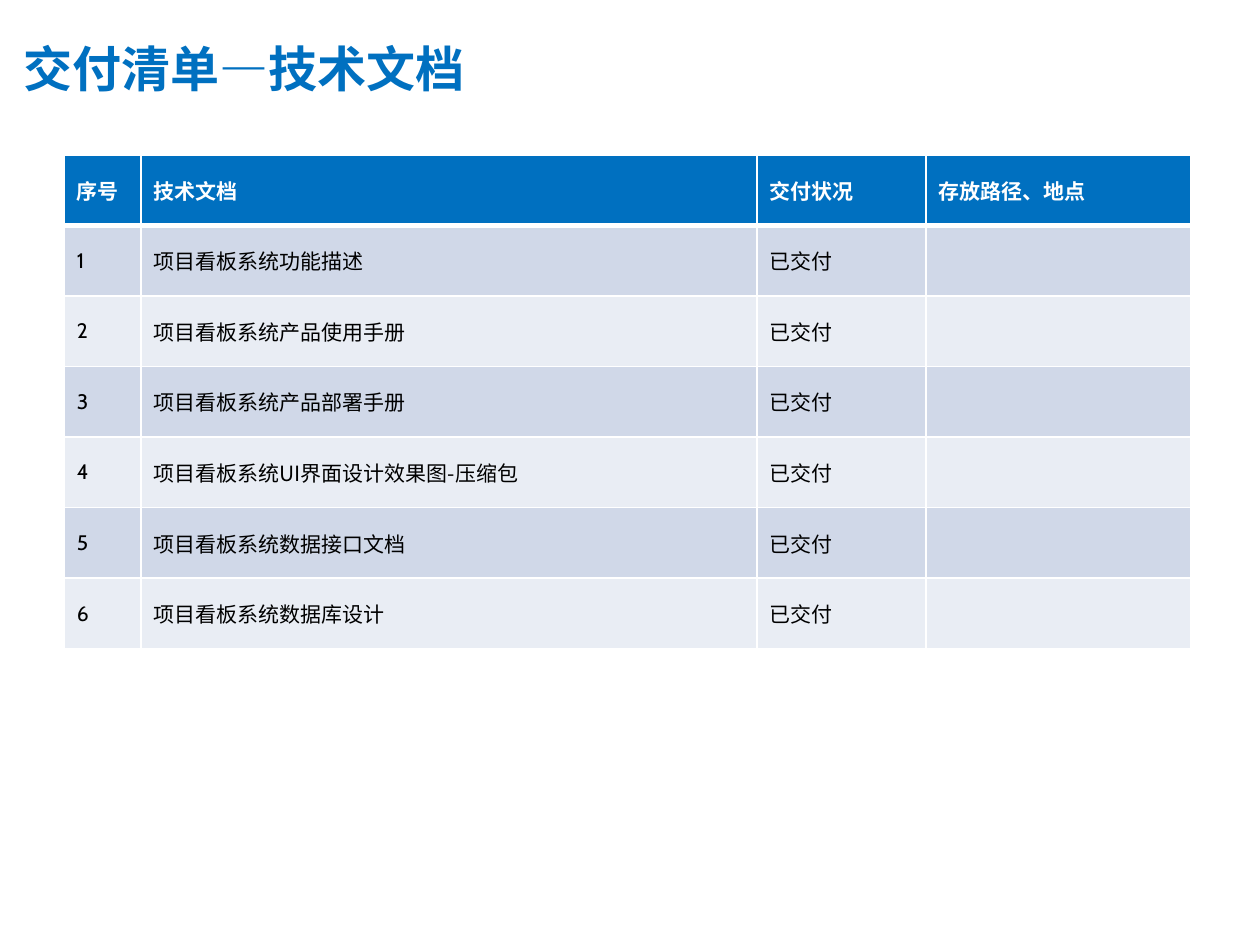
from pptx import Presentation
from pptx.dml.color import RGBColor
from pptx.enum.text import MSO_ANCHOR
from pptx.oxml.ns import qn
from pptx.util import Inches, Pt
from lxml import etree

MIDDLE = MSO_ANCHOR.MIDDLE
COLORS = {"blue": "0070C0", "white": "FFFFFF", "black": "000000",
          "band_dark": "D0D8E8", "band_light": "E9EDF4"}
CJK, LATIN = "Noto Sans CJK SC", "Cabin"
HEADERS = ["序号", "技术文档", "交付状况", "存放路径、地点"]
DOCUMENTS = ["功能描述", "产品使用手册", "产品部署手册",
             "UI界面设计效果图-压缩包", "数据接口文档", "数据库设计"]
COLUMN_WIDTHS = [0.61, 4.89, 1.34, 2.1]
ROW_HEIGHT = 0.56


class SlideBuilder:
    """Holds the slide and its style, and adds each kind of element."""

    def __init__(self, slide):
        self.s = slide

    def color(self, name):
        return RGBColor.from_string(COLORS[name])

    def run(self, p, text, size, color, font, bold=False):
        r = p.add_run()
        r.text = text
        r.font.size = Pt(size)
        r.font.bold = bold
        r.font.name = font
        r.font.color.rgb = self.color(color)
        etree.SubElement(r.font._element, qn("a:ea"), typeface=CJK)

    def title(self, text, left, top, width, height):
        sp = self.s.shapes.add_textbox(Inches(left), Inches(top), Inches(width), Inches(height))
        tf = sp.text_frame
        tf.word_wrap = True
        tf.vertical_anchor = MIDDLE
        tf.margin_left = Inches(0.19)
        self.run(tf.paragraphs[0], text, 28, "blue", CJK, True)

    def border(self, cell, side, width):
        tc_pr = cell._tc.get_or_add_tcPr()
        ln = etree.SubElement(tc_pr, qn("a:ln" + side), w=str(Pt(width)))
        fill = etree.SubElement(ln, qn("a:solidFill"))
        etree.SubElement(fill, qn("a:srgbClr"), val=COLORS["white"])

    def cell(self, cell, text, row, column):
        header = row == 0
        widths = {"L": 1, "R": 1, "T": 3 if row == 1 else 1, "B": 3 if header else 1}
        for side, width in widths.items():
            self.border(cell, side, width)
        cell.fill.solid()
        band = "band_dark" if row % 2 else "band_light"
        cell.fill.fore_color.rgb = self.color("blue" if header else band)
        cell.vertical_anchor = MIDDLE
        if text:
            font = CJK if column == 1 and not header else LATIN
            self.run(cell.text_frame.paragraphs[0], text, 12,
                     "white" if header else "black", font, header)

    def table(self, rows, left, top):
        shape = self.s.shapes.add_table(
            len(rows), len(COLUMN_WIDTHS), Inches(left), Inches(top),
            Inches(sum(COLUMN_WIDTHS)), Inches(ROW_HEIGHT * len(rows)))
        table = shape.table
        for column, width in zip(table.columns, COLUMN_WIDTHS):
            column.width = Inches(width)
        for i, values in enumerate(rows):
            table.rows[i].height = Inches(ROW_HEIGHT)
            for j, text in enumerate(values):
                self.cell(table.cell(i, j), text, i, j)


def main():
    prs = Presentation()
    prs.slide_width, prs.slide_height = Inches(10), Inches(7.5)
    builder = SlideBuilder(prs.slides.add_slide(prs.slide_layouts[6]))
    builder.title("交付清单—技术文档", 0, 0.19, 7.7, 0.7)
    rows = [[str(n), "项目看板系统" + name, "已交付", ""]
            for n, name in enumerate(DOCUMENTS, 1)]
    builder.table([HEADERS] + rows, 0.51, 1.23)
    prs.save("out.pptx")


if __name__ == "__main__":
    main()
